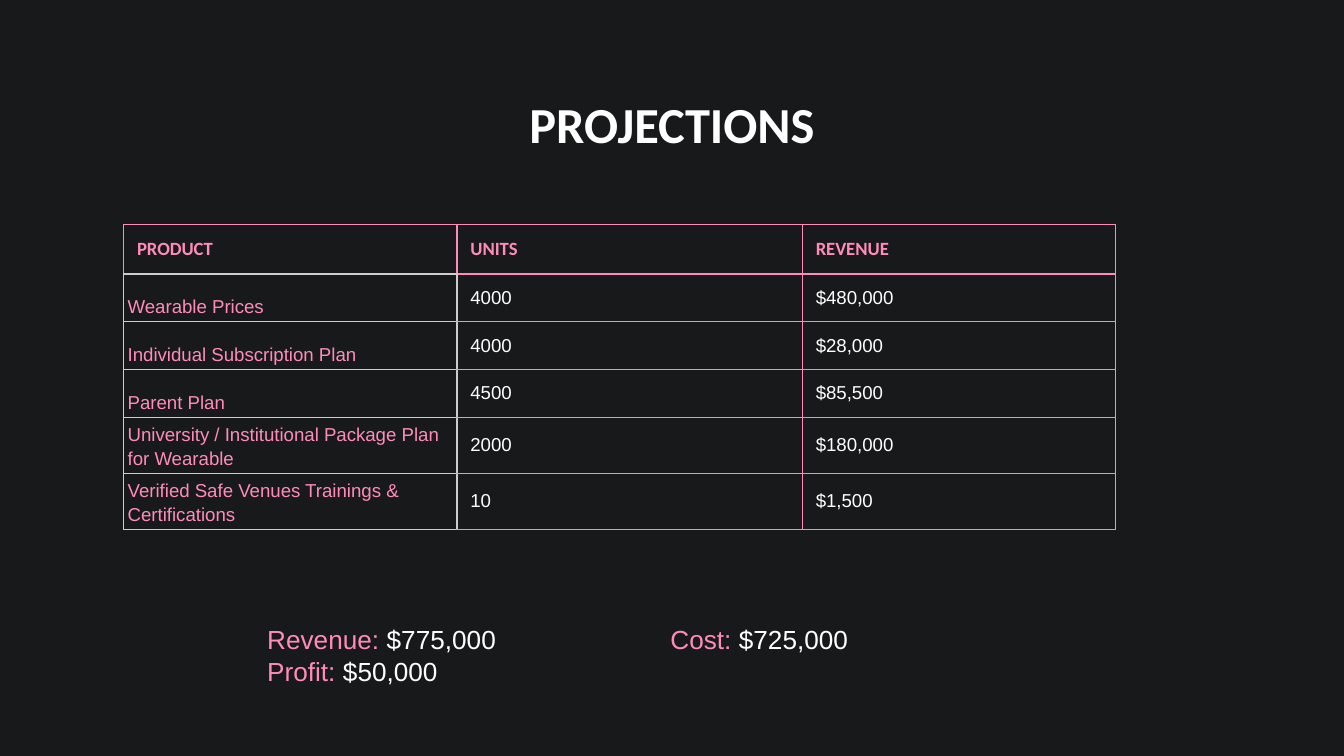
from lxml import etree
from pptx import Presentation
from pptx.dml.color import RGBColor
from pptx.enum.text import MSO_ANCHOR as Anchor, PP_ALIGN as Align
from pptx.oxml.ns import qn
from pptx.util import Inches, Pt

PINK, GREY, WHITE, DARK = "FF8CB8", "CCCCCC", "FFFFFF", "18191A"
WIDE = Inches(10)
HEAD = ["PRODUCT", "UNITS", "REVENUE"]
ROWS = [
    ("Wearable Prices", "4000", "$480,000"),
    ("Individual Subscription Plan", "4000", "$28,000"),
    ("Parent Plan", "4500", "$85,500"),
    ("University / Institutional Package Plan for Wearable", "2000", "$180,000"),
    ("Verified Safe Venues Trainings & Certifications", "10", "$1,500"),
]
COLS = [2.48, 2.57, 2.33]
HEAD_H, ROW_H = 0.28, 0.32
TOTALS = [
    ("Revenue: ", PINK), ("$775,000\t", WHITE),
    ("Cost: ", PINK), ("$725,000\t\t", WHITE),
    ("Profit:", PINK), (" $50,000", WHITE),
]


def paint(font, size, color, name="Arial", bold=False):
    font.size, font.name, font.bold = Pt(size), name, bold
    font.color.rgb = RGBColor.from_string(color)


def pad(box, gap):
    box.margin_left = box.margin_right = Inches(gap)
    box.margin_top = box.margin_bottom = Inches(gap)


def edge(cell, colors):
    """Draw the left, right, top and bottom borders, in that order."""
    props = cell._tc.get_or_add_tcPr()
    for spot, (side, color) in enumerate(zip("LRTB", colors)):
        line = etree.Element(qn(f"a:ln{side}"), w=str(Pt(0.75)))
        fill = etree.SubElement(line, qn("a:solidFill"))
        etree.SubElement(fill, qn("a:srgbClr"), val=color)
        props.insert(spot, line)


def fill_cell(cell, text, row, col):
    head, label = row == 0, row > 0 and col == 0
    cell.text_frame.text = text
    cell.fill.background()
    pad(cell, 0.03 if label else 0.1)
    para = cell.text_frame.paragraphs[0]
    if head:
        cell.vertical_anchor = Anchor.TOP
        paint(para.runs[0].font, 10, PINK, "Calibri", True)
    elif label:
        cell.vertical_anchor = Anchor.BOTTOM
        para.line_spacing = 1.15
        paint(para.runs[0].font, 10, PINK)
    else:
        cell.vertical_anchor = Anchor.MIDDLE
        paint(para.runs[0].font, 10, WHITE)
    if label:
        edge(cell, [GREY] * 4)
    else:
        left = GREY if row and col == 1 else PINK
        base = GREY if head and col == 0 else PINK
        edge(cell, [left, PINK, PINK, base])


deck = Presentation()
deck.slide_width, deck.slide_height = WIDE, WIDE * 9 // 16
slide = deck.slides.add_slide(deck.slide_layouts[5])
slide.background.fill.solid()
slide.background.fill.fore_color.rgb = RGBColor.from_string(DARK)

title = slide.shapes.title
title.left, title.top, title.width, title.height = map(Inches, (0.78, 0.59, 8.44, 0.63))
frame = title.text_frame
frame.text = "PROJECTIONS"
frame.vertical_anchor = Anchor.TOP
pad(frame, 0.1)
frame.paragraphs[0].alignment = Align.CENTER
paint(frame.paragraphs[0].runs[0].font, 27, WHITE, "Calibri", True)

grid = [HEAD, *ROWS]
table = slide.shapes.add_table(
    len(grid), len(COLS), Inches(0.92), Inches(1.67),
    Inches(sum(COLS)), Inches(HEAD_H + ROW_H * len(ROWS))).table
table.horz_banding = False
for col, width in enumerate(COLS):
    table.columns[col].width = Inches(width)
for row, texts in enumerate(grid):
    table.rows[row].height = Inches(ROW_H if row else HEAD_H)
    for col, text in enumerate(texts):
        fill_cell(table.cell(row, col), text, row, col)

frame = slide.shapes.add_textbox(*map(Inches, (1.89, 4.54, 5.63, 0.42))).text_frame
frame.word_wrap = True
pad(frame, 0.1)
para = frame.paragraphs[0]
tabs = etree.SubElement(para._p.get_or_add_pPr(), qn("a:tabLst"))
etree.SubElement(tabs, qn("a:tab"), pos=str(Inches(3)), algn="l")
for text, color in TOTALS:
    run = para.add_run()
    run.text = text
    paint(run.font, 14, color)

deck.save("out.pptx")
